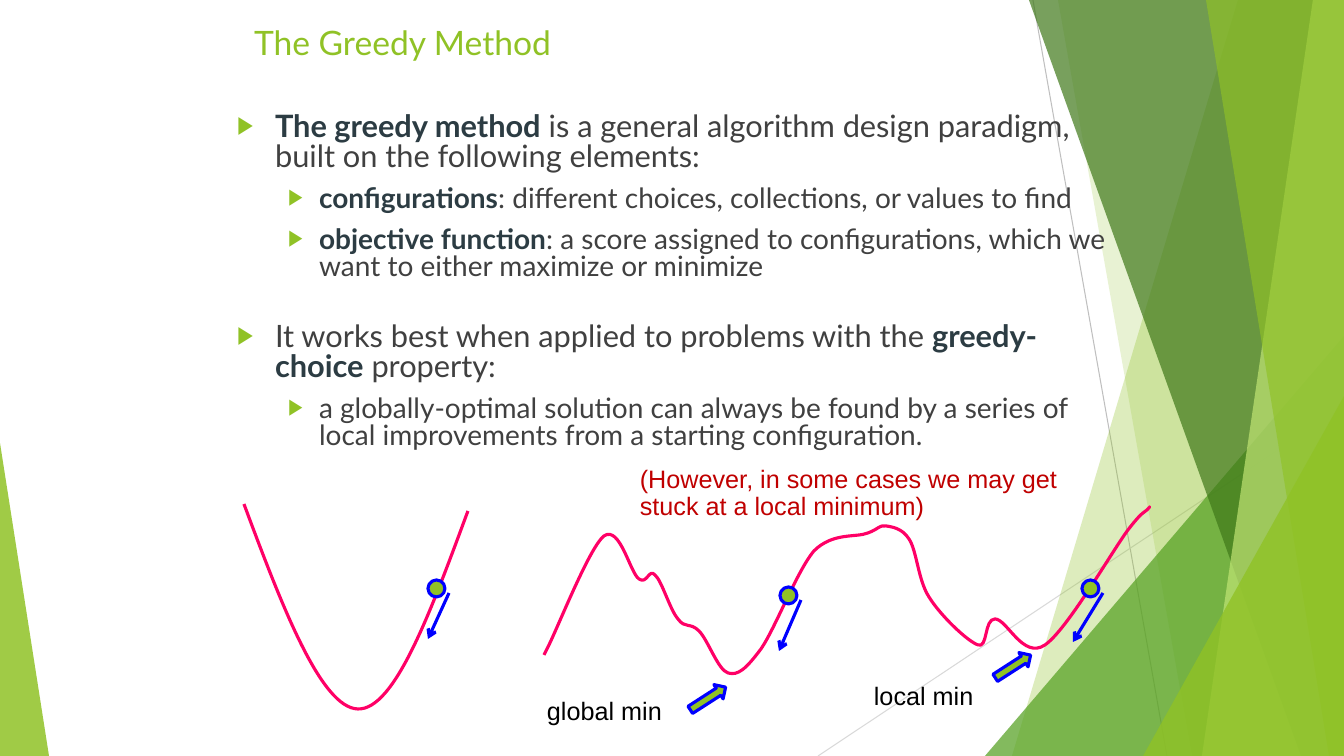
from dataclasses import dataclass

from lxml.etree import SubElement
from pptx import Presentation
from pptx.dml.color import RGBColor
from pptx.enum.shapes import MSO_CONNECTOR as Link, MSO_SHAPE as Shape
from pptx.enum.text import MSO_ANCHOR as Anchor, MSO_AUTO_SIZE as Fit, PP_ALIGN as Align
from pptx.oxml.ns import qn
from pptx.util import Emu, Pt

# Content: (level, points before, [(text, is key term)])
TITLE = "The Greedy Method"
BODY = [
    (0, 0, [("The greedy method", True),
            (" is a general algorithm design paradigm, built on the following elements:", False)]),
    (1, 10, [("configurations", True),
             (": different choices, collections, or values to find", False)]),
    (1, 10, [("objective function", True),
             (": a score assigned to configurations, which we want to either maximize or minimize", False)]),
    (0, 30, [("It works best when applied to problems with the ", False),
             ("greedy-choice", True), (" property:", False)]),
    (1, 10, [("a globally-optimal solution can always be found by a series of local "
              "improvements from a starting configuration.", False)]),
]
NOTE = "(However, in some cases we may get stuck at a local minimum)"

# Labels of the minima: text, box corner, block arrow corner
MINIMA = [("global min", (537, 690), (687, 690)),
          ("local min", (864, 675), (992, 658))]

# Balls rolling downhill: corner of the ball, end of its arrow
BALLS = [((428, 580), (428, 639)), ((1082, 580), (1073, 642)), ((780, 587), (779, 651))]

# Curves: start point, then two control points and an end point per segment
BOWL = [(244, 504), (282, 606), (321, 708), (358, 709), (395, 710), (431, 611), (468, 511)]
HILLS = [
    (544, 655), (544, 655), (547, 649), (547, 649),
    (557, 630), (589, 548), (604, 536), (620, 525), (630, 573), (639, 579),
    (647, 585), (649, 568), (655, 575), (662, 581), (670, 610), (678, 619),
    (685, 629), (690, 622), (699, 631), (708, 640), (718, 670), (728, 673),
    (738, 676), (746, 669), (761, 649), (775, 629), (797, 571), (814, 551),
    (833, 532), (856, 538), (868, 533), (879, 529), (879, 525), (886, 526),
    (892, 527), (902, 528), (909, 539), (917, 551), (918, 580), (929, 597),
    (940, 615), (967, 641), (978, 645), (988, 649), (984, 619), (995, 619),
    (1007, 619), (1023, 660), (1045, 645), (1067, 630), (1111, 553), (1128, 530),
    (1145, 508), (1144, 514), (1147, 510), (1151, 506), (1149, 507), (1149, 507),
]


@dataclass(frozen=True)
class Theme:
    lime: str = "90C226"
    green: str = "54A021"
    forest: str = "3F7819"
    pale: str = "C0E474"
    grey: str = "BFBFBF"
    light_grey: str = "D9D9D9"
    text: str = "404040"
    key: str = "2C3C43"
    curve: str = "FF0066"
    blue: str = "0000FF"
    note: str = "C00000"
    label: str = "000000"
    font: str = "Lato"
    label_font: str = "Arial"
    title_size: int = 24
    body_sizes: tuple = (22, 20)
    label_size: int = 18
    thin: float = 0.75
    thick: float = 2.25


THEME = Theme()
WIDTH, HEIGHT = 1344, 756
BALL = 17

# Backdrop: bands give (top x, bottom x), wedges give (left, top, width, apex)
HAIRLINES = [((1033, 0), (1167, HEIGHT), THEME.grey),
             ((WIDTH, 406), (818, HEIGHT), THEME.light_grey)]
FACETS = [
    ("band", (1238, 1012), THEME.lime, 30), ("band", (1058, 1192), THEME.lime, 20),
    ("wedge", (985, 336, 359, 1), THEME.green, 72),
    ("band", (1029, 1301), THEME.forest, 70), ("band", (1313, 1202), THEME.pale, 70),
    ("band", (1206, 1329), THEME.lime, 65),
    ("wedge", (1143, 396, 201, 1), THEME.lime, 80), ("wedge", (0, 443, 49, 0), THEME.lime, 85),
]


def px(count):
    return Emu(round(count * 914400 / 100.8))


def paint(shape, fill=None, line=None, opacity=100):
    shape.shadow.inherit = False
    if fill:
        shape.fill.solid()
        shape.fill.fore_color.rgb = RGBColor.from_string(fill)
        color = shape.fill._xPr.find(qn("a:solidFill"))[0]
        if opacity < 100:
            SubElement(color, qn("a:alpha"), val=str(opacity * 1000))
    else:
        shape.fill.background()
    if line:
        shape.line.color.rgb = RGBColor.from_string(line)
        shape.line.width = Pt(THEME.thick)
    else:
        shape.line.fill.background()


def add_preset(kind, left, top, width, height):
    return page.shapes.add_shape(kind, px(left), px(top), px(width), px(height))


def add_outline(points, close):
    (x, y), *rest = points
    builder = page.shapes.build_freeform(px(x), px(y))
    builder.add_line_segments([(px(x), px(y)) for x, y in rest], close=close)
    return builder.convert_to_shape()


def add_curve(points):
    shape = add_outline(points, close=False)
    track = next(shape._element.iter(qn("a:path")))
    steps = track.findall(qn("a:lnTo"))
    for first in range(0, len(steps), 3):
        bezier = SubElement(track, qn("a:cubicBezTo"))
        for step in steps[first:first + 3]:
            bezier.append(step[0])
            track.remove(step)
    paint(shape, line=THEME.curve)


def add_line(start, end, color, width, arrow=False):
    line = page.shapes.add_connector(Link.STRAIGHT, *map(px, start + end))
    line.line.color.rgb = RGBColor.from_string(color)
    line.line.width = Pt(width)
    if arrow:
        SubElement(line.line._get_or_add_ln(), qn("a:tailEnd"), type="arrow")
    SubElement(line._element.spPr, qn("a:effectLst"))


def add_span(para, text, font, size, color, bold=False):
    span = para.add_run()
    span.text = text
    span.font.name, span.font.size, span.font.bold = font, Pt(size), bold
    span.font.color.rgb = RGBColor.from_string(color)


def set_indent(para, margin, indent):
    props = para._p.get_or_add_pPr()
    props.set("marL", str(px(margin)))
    props.set("indent", str(px(indent)))
    return props


def place(box, left, top, width, height):
    box.left, box.top, box.width, box.height = map(px, (left, top, width, height))
    frame = box.text_frame
    frame.word_wrap, frame.auto_size, frame.vertical_anchor = True, Fit.NONE, Anchor.TOP
    return frame


def add_label(text, left, top, width, height, color):
    box = page.shapes.add_textbox(0, 0, 0, 0)
    para = place(box, left, top, width, height).paragraphs[0]
    add_span(para, text, THEME.label_font, THEME.label_size, color)
    return para


deck = Presentation()
deck.slide_width, deck.slide_height = px(WIDTH), px(HEIGHT)
page = deck.slides.add_slide(deck.slide_layouts[1])
title, body = page.shapes.title, page.placeholders[1]

# Backdrop of translucent facets
for start, end, color in HAIRLINES:
    add_line(start, end, color, THEME.thin)
for kind, place_at, color, opacity in FACETS:
    if kind == "band":
        top_x, bottom_x = place_at
        facet = add_outline([(top_x, 0), (WIDTH, 0), (WIDTH, HEIGHT), (bottom_x, HEIGHT)], close=True)
    else:
        left, top, width, apex = place_at
        facet = add_preset(Shape.ISOSCELES_TRIANGLE, left, top, width, HEIGHT - top)
        facet.adjustments[0] = apex
    paint(facet, fill=color, opacity=opacity)

# Title and list, brought in front of the backdrop
for holder in (title, body):
    page.shapes._spTree.append(holder._element)
para = place(title, 244, 17, 857, 84).paragraphs[0]
para.alignment = Align.LEFT
add_span(para, TITLE, THEME.font, THEME.title_size, THEME.lime)

frame = place(body, 227, 109, 907, 353)
for index, (level, before, spans) in enumerate(BODY):
    para = frame.add_paragraph() if index else frame.paragraphs[0]
    para.level = level
    props = set_indent(para, *((38, -38), (82, -31))[level])
    SubElement(SubElement(props, qn("a:buClr")), qn("a:srgbClr"), val=THEME.lime)
    SubElement(props, qn("a:buSzPct"), val="80000")
    SubElement(props, qn("a:buFont"), typeface=THEME.label_font)
    SubElement(props, qn("a:buChar"), char="▶")
    para.line_spacing, para.space_before = 0.8, Pt(before)
    for text, is_key in spans:
        add_span(para, text, THEME.font, THEME.body_sizes[level],
                 THEME.key if is_key else THEME.text, is_key)

# Curves, labelled minima and the note
add_curve(BOWL)
add_curve(HILLS)
for text, corner, arrow_corner in MINIMA:
    pointer = add_preset(Shape.RIGHT_ARROW, *arrow_corner, 42, BALL)
    pointer.rotation = 327.2
    paint(pointer, THEME.lime, THEME.blue)
    add_label(text, *corner, 168, 40, THEME.label)
para = add_label(NOTE, 580, 462, 504, 66, THEME.note)
set_indent(para, 50, 0)
para.line_spacing = 0.9

# Balls with their direction of travel
for (left, top), tip in BALLS:
    paint(add_preset(Shape.OVAL, left, top, BALL, BALL), THEME.lime, THEME.blue)
    add_line((left + 21, top + 13), tip, THEME.blue, THEME.thick, arrow=True)

deck.save("out.pptx")
